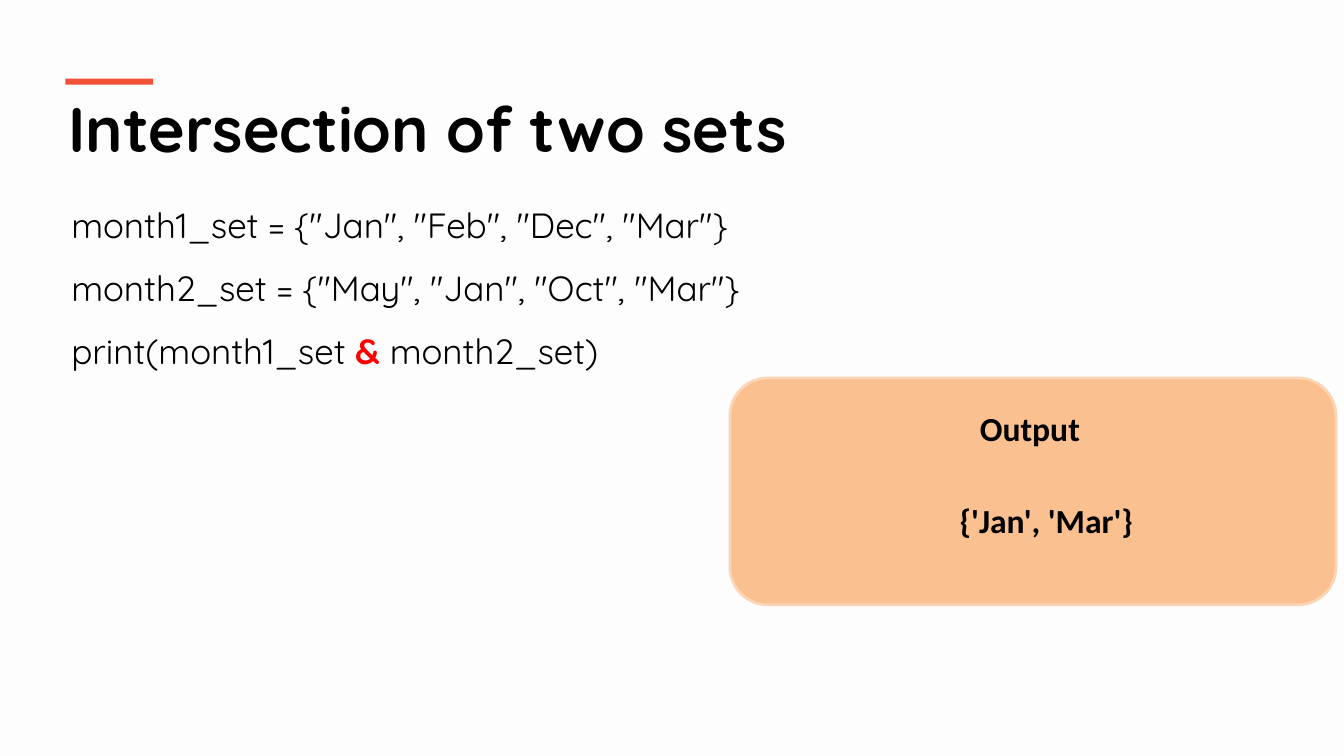
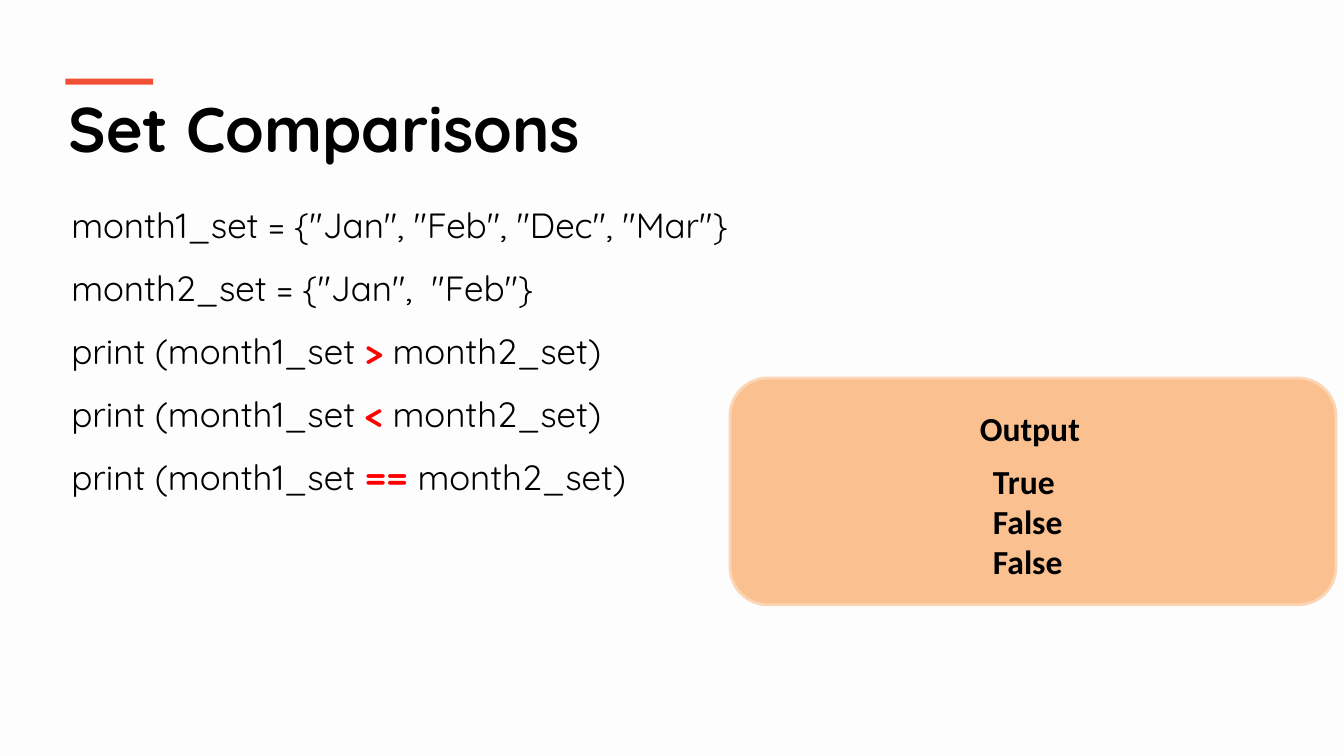
from pptx import Presentation
from pptx.dml.color import RGBColor
from pptx.enum.shapes import MSO_SHAPE
from pptx.enum.text import MSO_ANCHOR, MSO_AUTO_SIZE, PP_ALIGN
from pptx.util import Emu, Pt

# Shared style
EMU_PER_PX = 9144  # 100 px to the inch
BACKGROUND = RGBColor(0xFD, 0xFD, 0xFD)
BLACK = RGBColor(0x00, 0x00, 0x00)
RED = RGBColor(0xFF, 0x00, 0x00)
ACCENT = RGBColor(0xF0, 0x51, 0x36)
PANEL_FILL = RGBColor(0xFA, 0xC0, 0x90)
PANEL_LINE = RGBColor(0xFC, 0xD5, 0xB5)

TITLE_FONT = {"name": "Quicksand", "size": Pt(45), "bold": True}
CODE_FONT = {"name": "Quicksand", "size": Pt(25), "bold": False}
OPERATOR_FONT = {**CODE_FONT, "bold": True}
OUTPUT_FONT = {"name": "Calibri", "size": Pt(24), "bold": True}
FRAME_FORMAT = {
    "word_wrap": True,
    "auto_size": MSO_AUTO_SIZE.SHAPE_TO_FIT_TEXT,
    "vertical_anchor": MSO_ANCHOR.TOP,
}


def px(*lengths):
    return [Emu(length * EMU_PER_PX) for length in lengths]


def set_attributes(target, values):
    for name, value in values.items():
        setattr(target, name, value)


class Deck:
    def __init__(self):
        self.presentation = Presentation()
        width, height = px(1333, 750)
        set_attributes(self.presentation,
                       {"slide_width": width, "slide_height": height})
        self.slide = None

    def add_slide(self, title):
        layout = self.presentation.slide_layouts.get_by_name("Title Only")
        self.slide = self.presentation.slides.add_slide(layout)
        fill = self.slide.background.fill
        fill.solid()
        fill.fore_color.rgb = BACKGROUND
        self.title(title)
        self.box(MSO_SHAPE.RECTANGLE, (65, 78, 87, 6), ACCENT)

    def title(self, text):
        shape = self.slide.shapes.title
        left, top, width, height = px(58, 84, 1218, 86)
        set_attributes(shape, {"left": left, "top": top,
                               "width": width, "height": height})
        self.fill_frame(shape.text_frame, [(text,)], TITLE_FONT)

    def box(self, kind, place, fill, line=None):
        shape = self.slide.shapes.add_shape(kind, *px(*place))
        shape.shadow.inherit = False
        shape.fill.solid()
        shape.fill.fore_color.rgb = fill
        if line is None:
            shape.line.fill.background()
        else:
            shape.line.color.rgb = line
            shape.line.width = Pt(2)

    def text(self, place, lines, font, line_spacing=None):
        shape = self.slide.shapes.add_textbox(*px(*place))
        self.fill_frame(shape.text_frame, lines, font, line_spacing)

    def fill_frame(self, frame, lines, font, line_spacing=None):
        """Each line is a tuple; its second part, if any, is an operator."""
        set_attributes(frame, FRAME_FORMAT)
        for index, parts in enumerate(lines):
            paragraph = frame.add_paragraph() if index else frame.paragraphs[0]
            set_attributes(paragraph, {"alignment": PP_ALIGN.LEFT,
                                       "line_spacing": line_spacing})
            for position, part in enumerate(parts):
                run = paragraph.add_run()
                run.text = part
                is_operator = position == 1
                set_attributes(run.font, OPERATOR_FONT if is_operator else font)
                run.font.color.rgb = RED if is_operator else BLACK

    def code(self, lines, height):
        self.text((61, 176, 1214, height), lines, CODE_FONT, 1.5)

    def output(self, place, results):
        self.box(MSO_SHAPE.ROUNDED_RECTANGLE, (724, 375, 601, 225),
                 PANEL_FILL, PANEL_LINE)
        self.text(place, [(result,) for result in results], OUTPUT_FONT)
        self.text((962, 400, 146, 50), [("Output",)], OUTPUT_FONT)


def main():
    deck = Deck()
    month1_line = ('month1_set = {"Jan", "Feb", "Dec", "Mar"}',)

    # Intersection
    deck.add_slide("Intersection of two sets")
    deck.code([
        month1_line,
        ('month2_set = {"May", "Jan", "Oct", "Mar"}',),
        ("print(month1_set ", "& ", "month2_set)"),
    ], 194)
    deck.output((942, 491, 250, 50), ["{'Jan', 'Mar'}"])

    # Comparisons
    deck.add_slide("Set Comparisons")
    comparisons = [("print (month1_set ", operator, " month2_set)")
                   for operator in (">", "<", "==")]
    deck.code([month1_line, ('month2_set = {"Jan",  "Feb"}',), *comparisons], 320)
    deck.output((975, 452, 250, 131), ["True", "False", "False"])

    deck.presentation.save("out.pptx")


if __name__ == "__main__":
    main()
